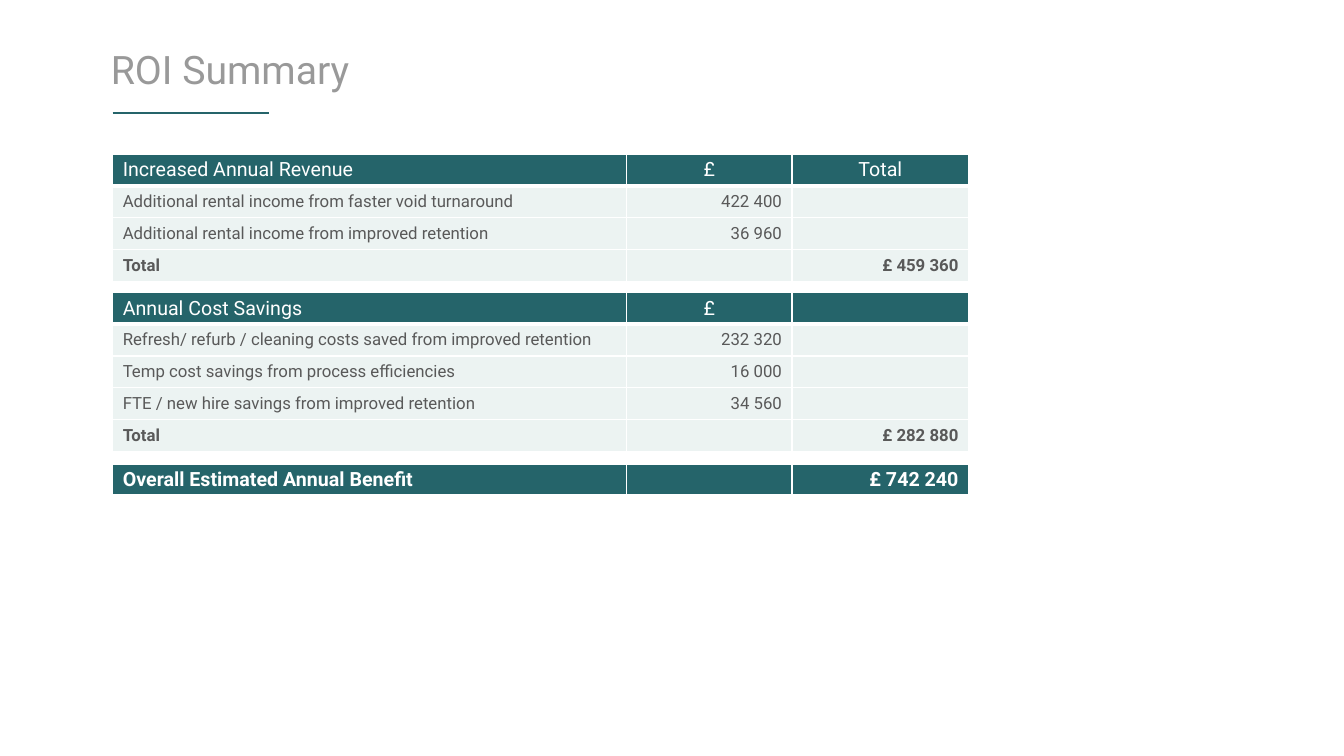
from lxml import etree
from pptx import Presentation
from pptx import util as u
from pptx.dml.color import RGBColor
from pptx.enum import shapes, text
from pptx.oxml import ns

COLORS = {"teal": "25646A", "mist": "ECF3F2", "white": "FFFFFF",
          "heading": "999999", "body": "595959"}
ALIGN = text.PP_ALIGN
LEFT = 2.84
COLUMNS = (12.95, 4.17, 4.45)
ROW = 0.8


class RoiSlide:
    font = "Roboto"

    def __init__(self, deck):
        self.slide = deck.slides.add_slide(deck.slide_layouts[5])

    def color(self, key):
        return RGBColor.from_string(COLORS[key])

    def apply(self, target, values):
        for key, value in values.items():
            setattr(target, key, value)

    def label(self, frame, words, size, color, align, bold=False):
        paragraph = frame.paragraphs[0]
        paragraph.alignment = align
        run = paragraph.add_run()
        run.text = words
        self.apply(run.font, {"name": self.font, "size": u.Pt(size), "bold": bold})
        run.font.color.rgb = self.color(color)
        return paragraph

    def title(self, words, left, top, width, height):
        heading = self.slide.shapes.title
        self.apply(heading, {"left": u.Cm(left), "top": u.Cm(top),
                             "width": u.Cm(width), "height": u.Cm(height)})
        self.apply(heading.text_frame, {"word_wrap": True,
                                        "auto_size": text.MSO_AUTO_SIZE.NONE,
                                        "vertical_anchor": text.MSO_ANCHOR.MIDDLE})
        paragraph = self.label(heading.text_frame, words, 28, "heading", ALIGN.LEFT)
        paragraph.line_spacing = 0.9

    def rule(self, left, top, width):
        underline = self.slide.shapes.add_connector(
            shapes.MSO_CONNECTOR.STRAIGHT,
            u.Cm(left), u.Cm(top), u.Cm(left + width), u.Cm(top))
        self.apply(underline.line, {"width": u.Pt(1.5)})
        underline.line.color.rgb = self.color("teal")
        etree.SubElement(underline._element.spPr, ns.qn("a:effectLst"))

    def borders(self, cell, top, bottom):
        properties = cell._tc.get_or_add_tcPr()
        for side, points in (("L", 1), ("R", 1), ("T", top), ("B", bottom)):
            edge = etree.SubElement(properties, ns.qn(f"a:ln{side}"), w=str(u.Pt(points)))
            fill = etree.SubElement(edge, ns.qn("a:solidFill"))
            etree.SubElement(fill, ns.qn("a:srgbClr"), val=COLORS["white"])

    def table(self, top, rows, bold_header=False):
        grid = self.slide.shapes.add_table(
            len(rows), len(COLUMNS), u.Cm(LEFT), u.Cm(top),
            u.Cm(sum(COLUMNS)), u.Cm(ROW * len(rows))).table
        self.apply(grid, {"first_row": False, "horz_banding": False})
        for column, width in zip(grid.columns, COLUMNS):
            column.width = u.Cm(width)
        for r, entries in enumerate(rows):
            header = r == 0
            grid.rows[r].height = u.Cm(ROW)
            bold = bold_header if header else entries[0] == "Total"
            figures = ALIGN.CENTER if header and not bold_header else ALIGN.RIGHT
            for c, words in enumerate(entries):
                cell = grid.cell(r, c)
                self.apply(cell, {"margin_top": 0, "margin_bottom": 0,
                                  "vertical_anchor": text.MSO_ANCHOR.MIDDLE})
                self.borders(cell, 3 if r == 1 else 1, 3 if header else 1)
                cell.fill.solid()
                cell.fill.fore_color.rgb = self.color("teal" if header else "mist")
                self.label(cell.text_frame, words, 14 if header else 12,
                           "white" if header else "body",
                           figures if c else ALIGN.LEFT, bold)


def main():
    deck = Presentation()
    deck.slide_width, deck.slide_height = u.Cm(33.87), u.Cm(19.05)
    summary = RoiSlide(deck)
    summary.title("ROI Summary", 2.54, 1.02, 14.58, 1.6)
    summary.rule(LEFT, 2.84, 3.94)
    summary.table(3.89, [
        ("Increased Annual Revenue", "£", "Total"),
        ("Additional rental income from faster void turnaround", "422 400", ""),
        ("Additional rental income from improved retention", "36 960", ""),
        ("Total", "", "£ 459 360"),
    ])
    summary.table(7.37, [
        ("Annual Cost Savings", "£", ""),
        ("Refresh/ refurb / cleaning costs saved from improved retention", "232 320", ""),
        ("Temp cost savings from process efficiencies", "16 000", ""),
        ("FTE / new hire savings from improved retention", "34 560", ""),
        ("Total", "", "£ 282 880"),
    ])
    summary.table(11.7, [("Overall Estimated Annual Benefit", "", "£ 742 240")],
                  bold_header=True)
    deck.save("out.pptx")


if __name__ == "__main__":
    main()
